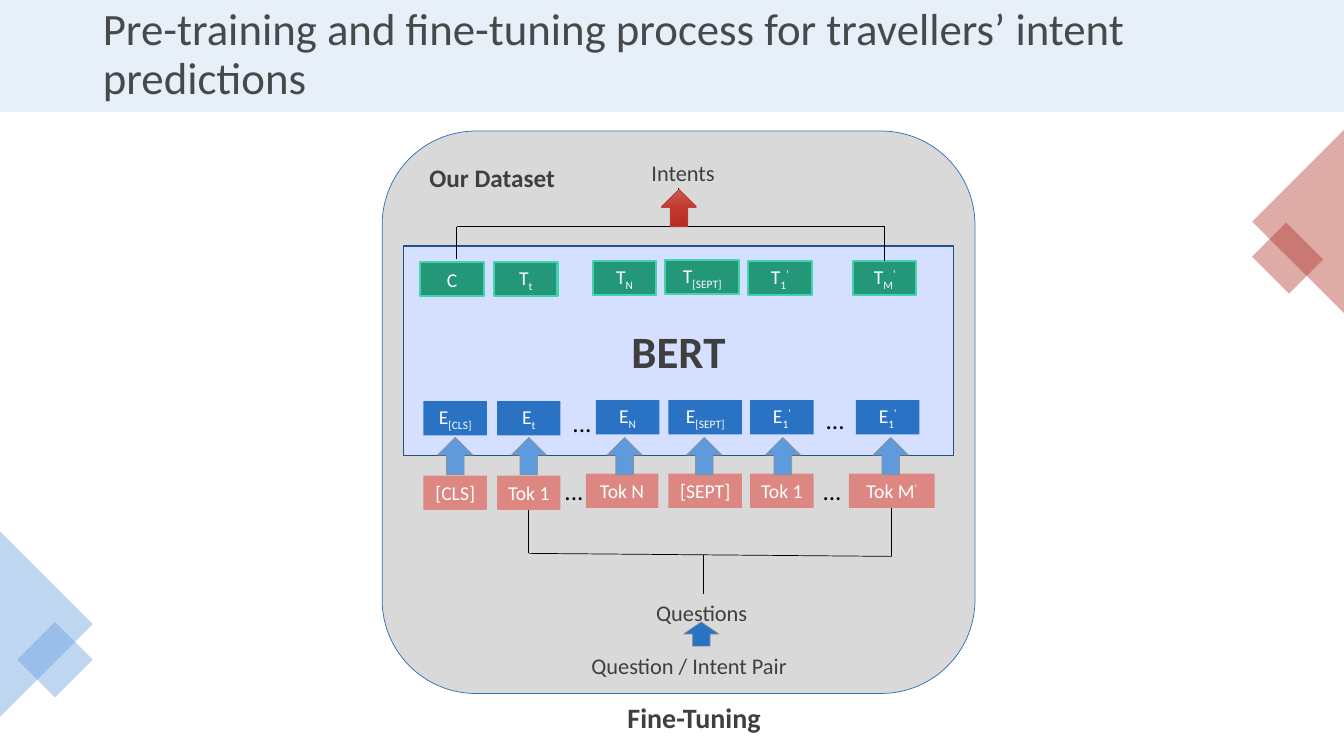
from copy import deepcopy

from lxml.etree import SubElement
from pptx import Presentation
from pptx.dml.color import RGBColor
from pptx.enum.shapes import MSO_CONNECTOR, MSO_SHAPE
from pptx.enum.text import MSO_ANCHOR, PP_ALIGN
from pptx.oxml.ns import qn
from pptx.util import Inches, Pt

BLACK = RGBColor(0x00, 0x00, 0x00)
WHITE = RGBColor(0xFF, 0xFF, 0xFF)
TITLE_GREY = RGBColor(0x47, 0x49, 0x4A)
TEXT_GREY = RGBColor(0x3F, 0x3F, 0x3F)
ARROW_EDGE = RGBColor(0x8F, 0x92, 0x94)
PANEL_GREY = RGBColor(0xD9, 0xD9, 0xD9)
PANEL_EDGE = RGBColor(0x2C, 0x6E, 0xB6)
BAND_BLUE = RGBColor(0xD1, 0xE2, 0xF4)
SKY = RGBColor(0x5F, 0x9A, 0xDD)
BLUE = RGBColor(0x2A, 0x72, 0xC3)
MODEL_FILL = RGBColor(0xD5, 0xDF, 0xFF)
MODEL_EDGE = RGBColor(0x21, 0x51, 0x87)
GREEN = RGBColor(0x23, 0x97, 0x78)
MINT = RGBColor(0x43, 0xD4, 0xAD)
PINK = RGBColor(0xDC, 0x87, 0x81)
DARK_RED = RGBColor(0xAE, 0x2F, 0x23)
RED_EDGE = RGBColor(0xBC, 0x3E, 0x35)
RED_STOPS = [(0, RGBColor(0xC6, 0x5C, 0x57)), (0.5, RGBColor(0xC3, 0x38, 0x2E)),
             (1, RGBColor(0xB3, 0x2D, 0x23))]

FONT = "Calibri"
BOX_HEIGHT = 0.34
SUBSCRIPT, SUPERSCRIPT = -25000, 30000

TITLE = "Pre-training and fine-tuning process for travellers’ intent predictions"
DIAMONDS = [  # left, top, width, height, colour
    (-1.33, 5.26, 1.87, 1.85, SKY),
    (0.28, 6.28, 0.53, 0.53, SKY),
    (12.8, 1.28, 1.87, 1.85, DARK_RED),
    (12.51, 2.32, 0.52, 0.48, DARK_RED),
]
# Each box: left, top, width, (text, subscript, superscript)
EMBEDDINGS = [
    (4.2, 3.98, 0.63, ("E", "[CLS]", "")),
    (4.93, 3.98, 0.63, ("E", "t", "")),
    (5.91, 3.97, 0.63, ("E", "N", "")),
    (6.63, 3.97, 0.73, ("E", "[SEPT]", "")),
    (7.44, 3.97, 0.63, ("E", "1", "'")),
    (8.49, 3.97, 0.63, ("E", "1", "'")),
]
OUTPUTS = [
    (4.17, 2.6, 0.63, ("C", "", "")),
    (4.9, 2.6, 0.63, ("T", "t", "")),
    (5.88, 2.59, 0.63, ("T", "N", "")),
    (6.6, 2.58, 0.73, ("T", "[SEPT]", "")),
    (7.42, 2.59, 0.63, ("T", "1", "'")),
    (8.46, 2.59, 0.63, ("T", "M", "'")),
]
TOKENS = [
    (4.2, 4.72, 0.63, ("[CLS]", "", "")),
    (4.93, 4.72, 0.63, ("Tok 1", "", "")),
    (5.81, 4.7, 0.72, ("Tok N", "", "")),
    (6.63, 4.7, 0.73, ("[SEPT]", "", "")),
    (7.44, 4.7, 0.63, ("Tok 1", "", "")),
    (8.42, 4.7, 0.85, ("Tok M", "", "'")),
]
TOKEN_ARROW_LEFTS = [4.34, 5.07, 6.02, 6.81, 7.59, 8.66]
ELLIPSES = [(5.58, 3.99), (5.5, 4.67), (8.06, 4.67), (8.09, 3.96)]
LABELS = [  # left, top, width, height, text, size, bold, alignment
    (5.3, 6.9, 3.17, 0.44, "Fine-Tuning", 20, True, PP_ALIGN.CENTER),
    (6.37, 5.89, 1.18, 0.37, "Questions", 16, False, PP_ALIGN.CENTER),
    (6.28, 1.53, 0.99, 0.37, "Intents", 16, False, PP_ALIGN.CENTER),
    (5.25, 6.42, 3.17, 0.37, "Question / Intent Pair", 16, False, PP_ALIGN.CENTER),
    (4.16, 1.56, 1.49, 0.4, "Our Dataset", 18, True, PP_ALIGN.LEFT),
]

presentation = Presentation()
presentation.slide_width, presentation.slide_height = Inches(13.33), Inches(7.5)
slide = presentation.slides.add_slide(presentation.slide_layouts[5])
shapes = slide.shapes


def style_font(paragraph, size, color, bold=False):
    font = paragraph.font
    font.name, font.size, font.bold = FONT, Pt(size), bold
    font.color.rgb = color


def add_block(kind, left, top, width, height, fill, edge=None, edge_width=0.5, alpha=None):
    """Add a flat preset shape; alpha is its opacity in percent."""
    shape = shapes.add_shape(kind, Inches(left), Inches(top), Inches(width), Inches(height))
    shape.shadow.inherit = False
    shape.fill.solid()
    shape.fill.fore_color.rgb = fill
    if alpha is not None:
        color = shape._element.spPr.find(qn("a:solidFill"))[0]
        SubElement(color, qn("a:alpha")).set("val", str(alpha * 1000))
    if edge is None:
        shape.line.fill.background()
    else:
        shape.line.color.rgb = edge
        shape.line.width = Pt(edge_width)
    return shape


def add_box_row(boxes, fill, edge=None):
    row = []
    for left, top, width, (text, subscript, superscript) in boxes:
        box = add_block(MSO_SHAPE.RECTANGLE, left, top, width, BOX_HEIGHT, fill, edge, 1.5)
        frame = box.text_frame
        frame.word_wrap = False
        frame.vertical_anchor = MSO_ANCHOR.MIDDLE
        paragraph = frame.paragraphs[0]
        paragraph.alignment = PP_ALIGN.CENTER
        style_font(paragraph, 14, WHITE)
        for part, baseline in ((text, 0), (subscript, SUBSCRIPT), (superscript, SUPERSCRIPT)):
            if part:
                run = paragraph.add_run()
                run.text = part
                if baseline:
                    run._r.get_or_add_rPr().set("baseline", str(baseline))
        row.append(box)
    return row


def add_label(left, top, width, height, text, size, bold, alignment, color=TEXT_GREY):
    label = shapes.add_textbox(Inches(left), Inches(top), Inches(width), Inches(height))
    label.text_frame.word_wrap = True
    paragraph = label.text_frame.paragraphs[0]
    paragraph.text = text
    paragraph.alignment = alignment
    style_font(paragraph, size, color, bold)


def add_line(x1, y1, x2, y2):
    line = shapes.add_connector(MSO_CONNECTOR.STRAIGHT, Inches(x1), Inches(y1),
                                Inches(x2), Inches(y2))
    line.line.color.rgb = BLACK
    line.line.width = Pt(0.5)
    SubElement(line._element.spPr, qn("a:effectLst"))
    return line


def center_x(box):
    return (box.left + box.width / 2) / Inches(1)


# Title band and corner diamonds
add_block(MSO_SHAPE.RECTANGLE, 0, -0.02, 13.33, 1.13, BAND_BLUE, alpha=50)
for left, top, width, height, color in DIAMONDS:
    diamond = add_block(MSO_SHAPE.RECTANGLE, left, top, width, height, color, alpha=40)
    diamond.rotation = 45

title = shapes.title
title.left, title.top, title.width, title.height = map(Inches, (0.92, 0.01, 11.89, 1.08))
title.text_frame.text = TITLE
title.text_frame.vertical_anchor = MSO_ANCHOR.MIDDLE
heading = title.text_frame.paragraphs[0]
heading.alignment = PP_ALIGN.LEFT
heading.line_spacing = 0.9
style_font(heading, 32, TITLE_GREY)
shapes._spTree.append(title._element)  # bring in front of the band

# Panel and model
add_block(MSO_SHAPE.ROUNDED_RECTANGLE, 3.79, 1.3, 5.88, 5.58, PANEL_GREY, PANEL_EDGE)
model = add_block(MSO_SHAPE.RECTANGLE, 4, 2.44, 5.46, 2.08, MODEL_FILL, MODEL_EDGE, 1)
model.text_frame.vertical_anchor = MSO_ANCHOR.MIDDLE
model_name = model.text_frame.paragraphs[0]
model_name.text = "BERT"
model_name.alignment = PP_ALIGN.CENTER
style_font(model_name, 32, TEXT_GREY, True)

add_box_row(EMBEDDINGS, BLUE)
outputs = add_box_row(OUTPUTS, GREEN, MINT)
tokens = add_box_row(TOKENS, PINK)
for left, top in ELLIPSES:
    add_label(left, top, 0.4, 0.4, "...", 18, False, PP_ALIGN.LEFT, BLACK)

# Bracket from the tokens down to the questions
first_token, last_token = tokens[1], tokens[-1]
first_x, last_x = center_x(first_token), center_x(last_token)
add_line(first_x, 5.06, first_x, 5.49).begin_connect(first_token, 2)
add_line(last_x, 5.04, last_x, 5.52).begin_connect(last_token, 2)
add_line(first_x, 5.49, last_x, 5.52)
add_line(6.98, 5.51, 6.98, 5.89)

# Bracket from the outputs up to the intents
output_x = center_x(outputs[-1])
add_line(6.73, 1.87, 6.73, 2.25)
add_line(output_x, 2.25, 4.53, 2.25)
add_line(output_x, 2.25, output_x, 2.59).end_connect(outputs[-1], 0)
add_line(4.53, 2.25, 4.53, 2.57)

for label in LABELS:
    add_label(*label)

# Arrows
add_block(MSO_SHAPE.UP_ARROW, 6.78, 6.17, 0.35, 0.24, BLUE, ARROW_EDGE)
intent_arrow = add_block(MSO_SHAPE.UP_ARROW, 6.56, 1.88, 0.35, 0.37, DARK_RED, RED_EDGE)
intent_arrow.fill.gradient()
intent_arrow.fill.gradient_angle = 270
stop_list = intent_arrow._element.spPr.find(qn("a:gradFill")).find(qn("a:gsLst"))
stop_list.insert(1, deepcopy(stop_list[0]))
for stop, (position, color) in zip(intent_arrow.fill.gradient_stops, RED_STOPS):
    stop.position = position
    stop.color.rgb = color
for left in TOKEN_ARROW_LEFTS:
    add_block(MSO_SHAPE.UP_ARROW, left, 4.34, 0.35, 0.37, SKY, ARROW_EDGE)

presentation.save("out.pptx")
